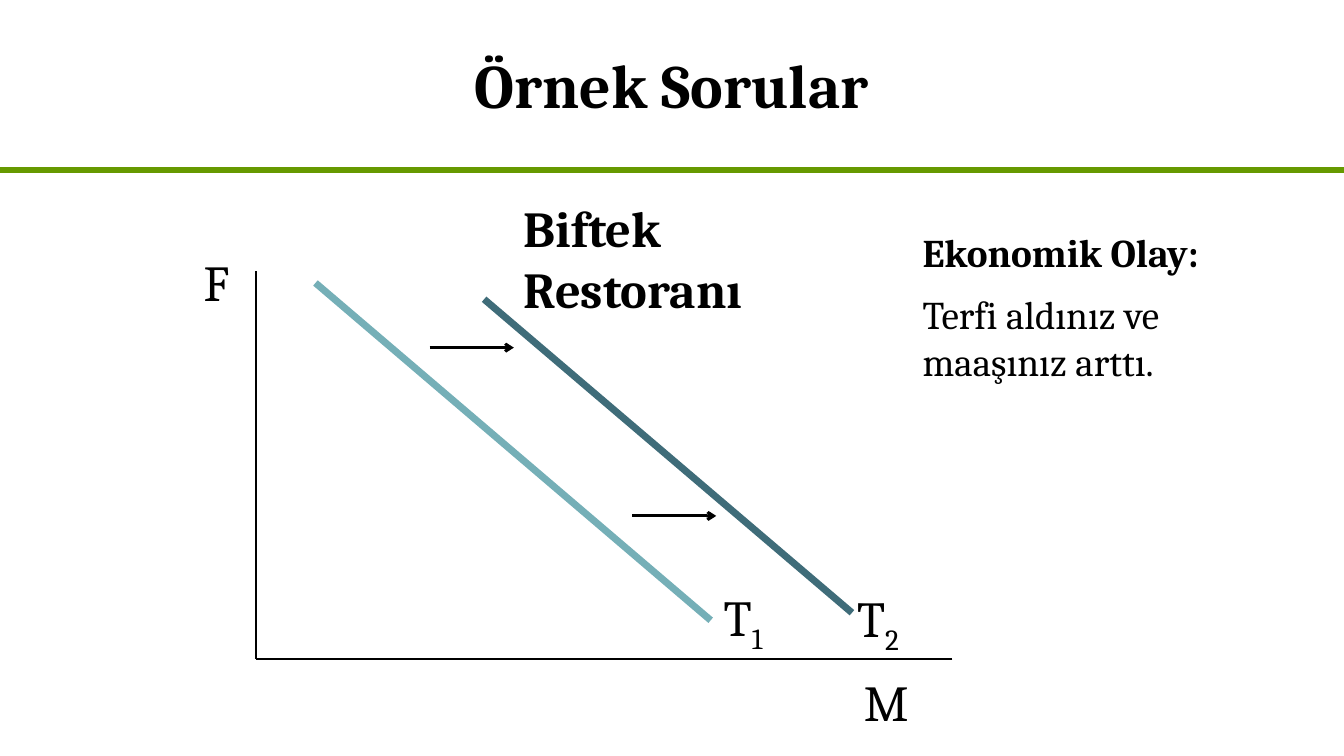
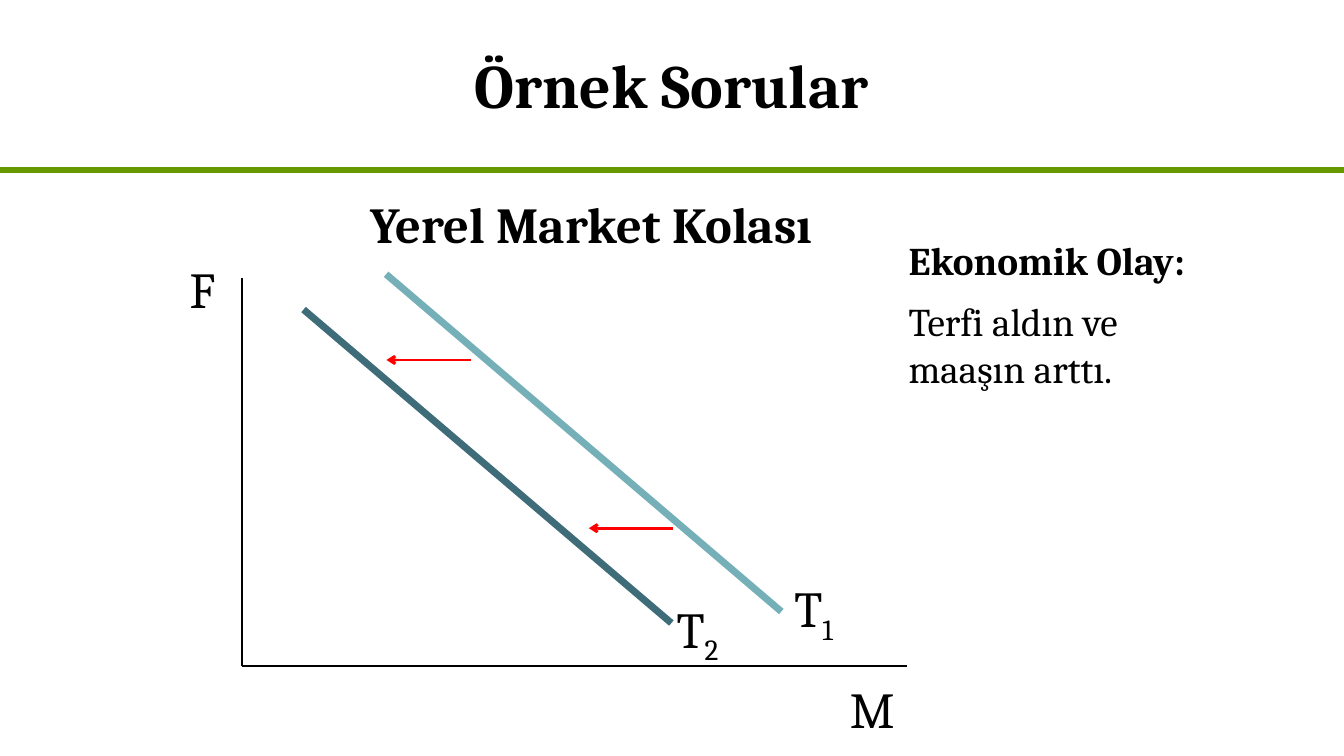
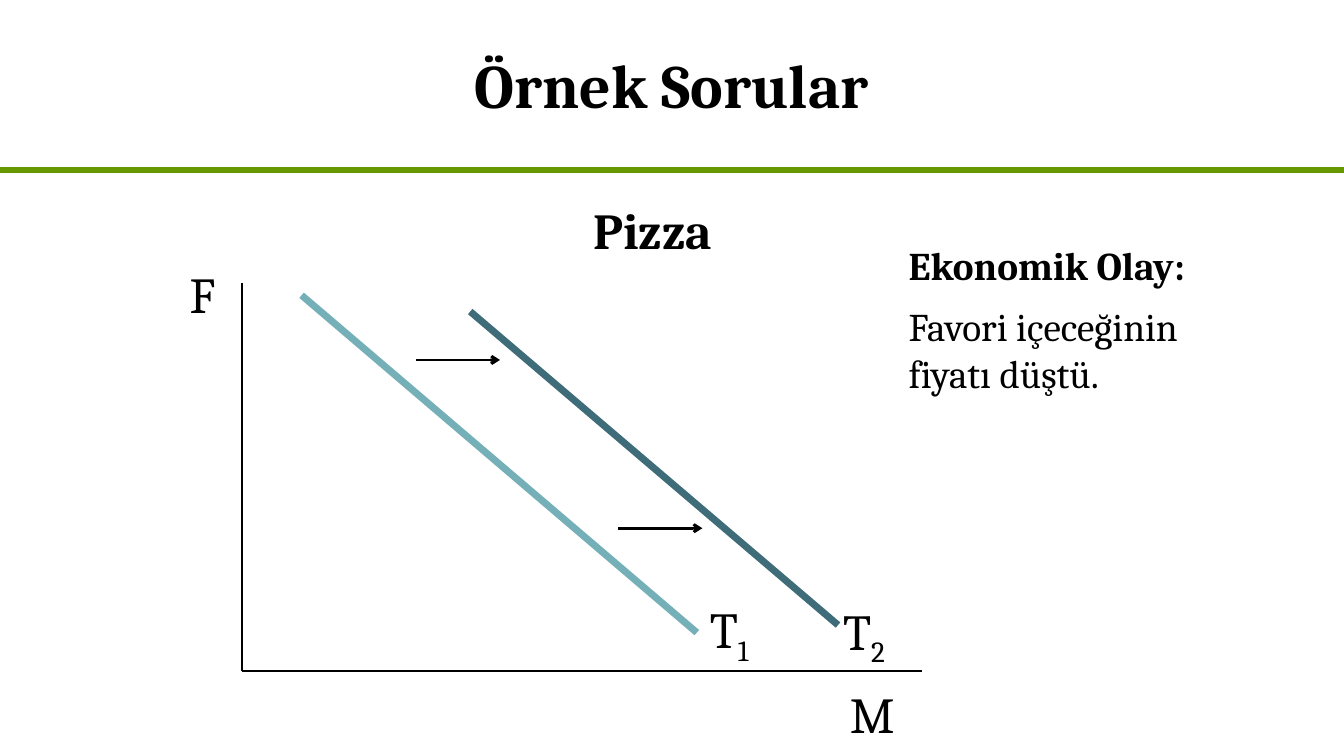
from lxml.etree import SubElement
from pptx import Presentation
from pptx.dml.color import RGBColor
from pptx.enum.shapes import MSO_CONNECTOR as Connector
from pptx.enum.text import MSO_ANCHOR as Anchor, PP_ALIGN as Align
from pptx.oxml.ns import qn
from pptx.util import Cm, Pt

FONT = "Cambria"
COLORS = {
    "text": "000000",
    "rule": "669900",
    "old_demand": "75AFB7",
    "new_demand": "3F6C79",
    "rise": "000000",
    "fall": "FF0000",
}
SLIDE_W, SLIDE_H = 33.87, 19.05
RULE_Y = 4.29
AXIS_H = 9.78
ARROW_LENGTH = 2.12
ARROW_STEP = (5.1, 4.24)

# Offsets from the top of the price axis, by direction of the demand shift
SHIFTS = {
    "rise": {"old": (1.5, 0.3), "new": (5.75, 0.71), "arrow": (4.38, 1.93), "sign": 1},
    "fall": {"old": (3.63, -0.1), "new": (1.55, 0.79), "arrow": (5.76, 2.06), "sign": -1},
}

# Axis top, quantity axis length, heading and event of each slide
QUESTIONS = [
    {"axis_top": (6.45, 6.83), "axis_w": 17.55, "shift": "rise",
     "good": "Biftek Restoranı", "good_at": (12.95, 4.85, 8.97),
     "event": "Terfi aldınız ve maaşınız arttı.", "event_w": 7.72},
    {"axis_top": (6.1, 7.01), "axis_w": 16.76, "shift": "fall",
     "good": "Yerel Market Kolası", "good_at": (9.09, 4.75, 12.19),
     "event": "Terfi aldın ve maaşın arttı.", "event_w": 7.52},
    {"axis_top": (6.1, 7.14), "axis_w": 17.14, "shift": "rise",
     "good": "Pizza", "good_at": (14.71, 4.9, 5.69),
     "event": "Favori içeceğinin fiyatı düştü.", "event_w": 8.43},
]


def write(paragraph, text, size=36, bold=False, color="text", baseline=None):
    """Append a formatted run to a paragraph."""
    run = paragraph.add_run()
    run.text = text
    run.font.name = FONT
    run.font.size = Pt(size)
    run.font.bold = bold
    run.font.color.rgb = RGBColor.from_string(COLORS[color])
    if baseline is not None:
        run.font._element.set("baseline", str(baseline))


def add_frame(slide, x, y, w, h, insets=None):
    """Add a wrapping text box and return its text frame."""
    frame = slide.shapes.add_textbox(Cm(x), Cm(y), Cm(w), Cm(h)).text_frame
    frame.word_wrap = True
    if insets:
        frame.margin_left = frame.margin_right = Cm(insets[0])
        frame.margin_top = frame.margin_bottom = Cm(insets[1])
    frame.paragraphs[0].space_after = Pt(10)
    return frame


def add_label(slide, x, y, letter, index=None):
    w, h = (2.54, 1.75) if index else (1.55, 1.12)
    label = add_frame(slide, x, y, w, h, insets=(0.13, 0.05)).paragraphs[0]
    write(label, letter)
    if index:
        write(label, index, baseline=-25000)


def add_line(slide, x1, y1, x2, y2, color, width, arrow=False):
    line = slide.shapes.add_connector(
        Connector.STRAIGHT, Cm(x1), Cm(y1), Cm(x2), Cm(y2))
    line.line.color.rgb = RGBColor.from_string(COLORS[color])
    line.line.width = Pt(width)
    if arrow:
        SubElement(line.line._get_or_add_ln(), qn("a:tailEnd"), type="arrow")
    SubElement(line.element.spPr, qn("a:effectLst"))
    return line


def add_axes(slide, x, y, axis_w):
    bottom = y + AXIS_H
    add_line(slide, x, y, x, bottom, "text", 2)
    add_line(slide, x + axis_w, bottom, x, bottom, "text", 1.5)
    add_label(slide, x - 1.45, y - 0.56, "F")
    add_label(slide, x + 15.19, y + 10.03, "M")


def add_demand(slide, x, y, size, color, index, label_offset):
    end_x, end_y = x + size[0], y + size[1]
    add_line(slide, x, y, end_x, end_y, color, 5)
    add_label(slide, end_x + label_offset[0], end_y + label_offset[1], "T", index)


def add_shift(slide, x, y, direction):
    """Draw both demand curves and the arrows between them."""
    shift = SHIFTS[direction]
    old_x, old_y = shift["old"]
    new_x, new_y = shift["new"]
    add_demand(slide, x + old_x, y + old_y, (9.96, 8.5), "old_demand", "1", (0.2, -0.91))
    for step in range(2):
        arrow_x = x + shift["arrow"][0] + step * ARROW_STEP[0]
        arrow_y = y + shift["arrow"][1] + step * ARROW_STEP[1]
        add_line(slide, arrow_x, arrow_y, arrow_x + shift["sign"] * ARROW_LENGTH,
                 arrow_y, direction, 2, arrow=True)
    add_demand(slide, x + new_x, y + new_y, (9.27, 7.9), "new_demand", "2", (0, -0.69))


def add_event(slide, x, y, w, event):
    frame = add_frame(slide, x, y, w, 6.35)
    write(frame.paragraphs[0], "Ekonomik Olay:", size=28, bold=True)
    detail = frame.add_paragraph()
    detail.space_after = Pt(10)
    write(detail, event, size=28)


def set_up_layout(layout):
    title = layout.placeholders[0]
    title.left, title.top, title.width, title.height = Cm(5.5), Cm(0), Cm(22.86), Cm(4.24)
    title.text_frame.vertical_anchor = Anchor.MIDDLE


def add_question(prs, layout, question):
    slide = prs.slides.add_slide(layout)
    title = slide.shapes.title.text_frame.paragraphs[0]
    title.alignment = Align.CENTER
    write(title, "Örnek Sorular", size=44, bold=True)

    x, y = question["axis_top"]
    add_axes(slide, x, y, question["axis_w"])
    add_shift(slide, x, y, question["shift"])

    heading = add_frame(slide, *question["good_at"], 1.5).paragraphs[0]
    write(heading, question["good"], bold=True)
    add_event(slide, x + 16.55, y - 1.19, question["event_w"], question["event"])
    return slide


def main():
    prs = Presentation()
    prs.slide_width, prs.slide_height = Cm(SLIDE_W), Cm(SLIDE_H)
    layout = prs.slide_layouts[5]
    set_up_layout(layout)

    slides = [add_question(prs, layout, question) for question in QUESTIONS]

    # The green rule belongs to the layout, so every slide shows it
    rule = add_line(slides[0], 0, RULE_Y, SLIDE_W, RULE_Y, "rule", 4.5)
    layout.shapes.element.append(rule.element)

    prs.save("out.pptx")


if __name__ == "__main__":
    main()
